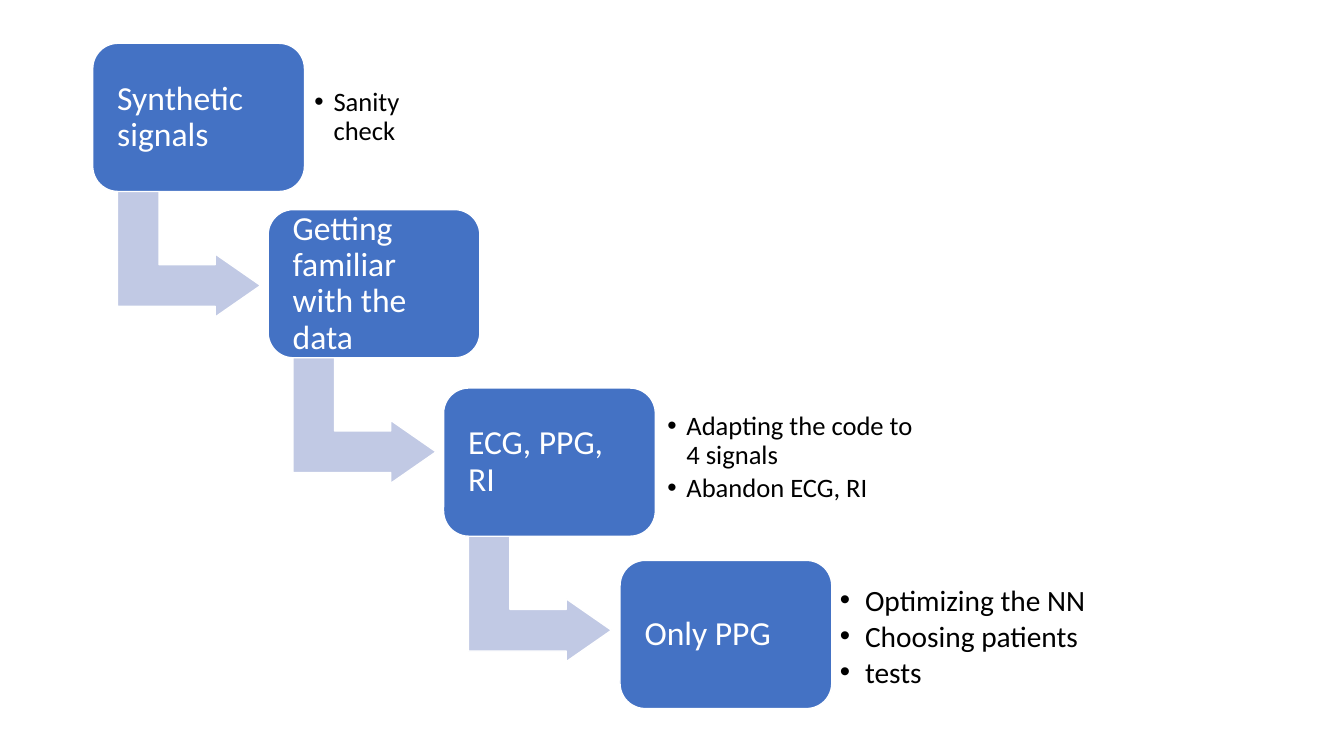
from dataclasses import dataclass

from lxml import etree
from pptx import Presentation
from pptx.dml.color import RGBColor
from pptx.enum.shapes import MSO_SHAPE
from pptx.enum.text import MSO_ANCHOR, PP_ALIGN
from pptx.oxml.ns import qn
from pptx.util import Emu, Pt

ROUNDED = MSO_SHAPE.ROUNDED_RECTANGLE
BENT_ARROW = MSO_SHAPE.BENT_UP_ARROW
MIDDLE = MSO_ANCHOR.MIDDLE
LEFT = PP_ALIGN.LEFT

PX = 9144
FONT = "Calibri"
COLORS = {
    "step": "4472C4",
    "arrow": "C1C9E4",
    "outline": "FFFFFF",
    "step_text": "FFFFFF",
    "note_text": "000000",
}

FIRST_LEFT, LAST_LEFT = 92, 615
STEP_WIDTH, STEP_HEIGHT = 210, 147
STEP_MARGIN = 17
ARROW_DX, ARROW_DY = 33, 138
ARROW_WIDTH, ARROW_HEIGHT = 125, 142


@dataclass(frozen=True)
class Box:
    left: int
    top: int
    width: int
    height: int

    def emu(self) -> list[Emu]:
        return [px(v) for v in (self.left, self.top, self.width, self.height)]


@dataclass(frozen=True)
class Notes:
    box: Box
    lines: tuple[str, ...]
    size: int = 19
    indent: int = 19
    margin: int = 10


@dataclass(frozen=True)
class Step:
    top: int
    label: str
    notes: Notes | None = None


STEPS = (
    Step(43, "Synthetic signals",
         Notes(Box(302, 57, 153, 119), ("Sanity check",))),
    Step(208, "Getting familiar with the data"),
    Step(385, "ECG, PPG, RI",
         Notes(Box(652, 368, 274, 172),
               ("Adapting the code to 4 signals", "Abandon ECG, RI"))),
    Step(556, "Only PPG",
         Notes(Box(822, 554, 273, 157),
               ("Optimizing the NN", "Choosing patients", "tests"),
               size=21, indent=25, margin=11)),
)


def px(value: int) -> Emu:
    return Emu(value * PX)


def color(name: str) -> RGBColor:
    return RGBColor.from_string(COLORS[name])


def add_outlined(slide, preset, box: Box, fill: str, adjustments: tuple[float, ...]):
    shape = slide.shapes.add_shape(preset, *box.emu())
    for index, value in enumerate(adjustments):
        shape.adjustments[index] = value
    shape.shadow.inherit = False
    shape.fill.solid()
    shape.fill.fore_color.rgb = color(fill)
    shape.line.color.rgb = color("outline")
    shape.line.width = Pt(1)
    return shape


def write(frame, text: str, size: int, ink: str, margin: int, gap: int) -> None:
    frame.word_wrap = True
    frame.vertical_anchor = MIDDLE
    frame.margin_left = frame.margin_right = px(margin)
    frame.margin_top = frame.margin_bottom = px(margin)
    frame.text = text
    for paragraph in frame.paragraphs:
        paragraph.alignment = LEFT
        paragraph.line_spacing = 0.9
        paragraph.space_after = Pt(gap)
        for run in paragraph.runs:
            run.font.name = FONT
            run.font.size = Pt(size)
            run.font.color.rgb = color(ink)


def add_bullet(paragraph, indent: int) -> None:
    paragraph.level = 1
    properties = paragraph._p.get_or_add_pPr()
    properties.set("marL", str(px(indent)))
    properties.set("indent", str(-px(indent)))
    etree.SubElement(properties, qn("a:buFont"), typeface="Arial")
    etree.SubElement(properties, qn("a:buChar"), char="•")


def add_notes(slide, notes: Notes) -> None:
    frame = slide.shapes.add_textbox(*notes.box.emu()).text_frame
    write(frame, "\n".join(notes.lines), notes.size, "note_text", notes.margin, 3)
    for paragraph in frame.paragraphs:
        add_bullet(paragraph, notes.indent)


def add_step(slide, step: Step, left: int, has_next: bool) -> None:
    if has_next:
        arrow_box = Box(left + ARROW_DX, step.top + ARROW_DY, ARROW_WIDTH, ARROW_HEIGHT)
        arrow = add_outlined(slide, BENT_ARROW, arrow_box, "arrow", (0.33, 0.25, 0.36))
        arrow.rotation = 90
    step_box = Box(left, step.top, STEP_WIDTH, STEP_HEIGHT)
    card = add_outlined(slide, ROUNDED, step_box, "step", (0.17,))
    write(card.text_frame, step.label, 24, "step_text", STEP_MARGIN, 10)
    if step.notes:
        add_notes(slide, step.notes)


def main() -> None:
    deck = Presentation()
    deck.slide_width, deck.slide_height = px(1333), px(750)
    slide = deck.slides.add_slide(deck.slide_layouts[6])
    last = len(STEPS) - 1
    for index, step in enumerate(STEPS):
        left = FIRST_LEFT + (LAST_LEFT - FIRST_LEFT) * index // last
        add_step(slide, step, left, index < last)
    deck.save("out.pptx")


if __name__ == "__main__":
    main()
